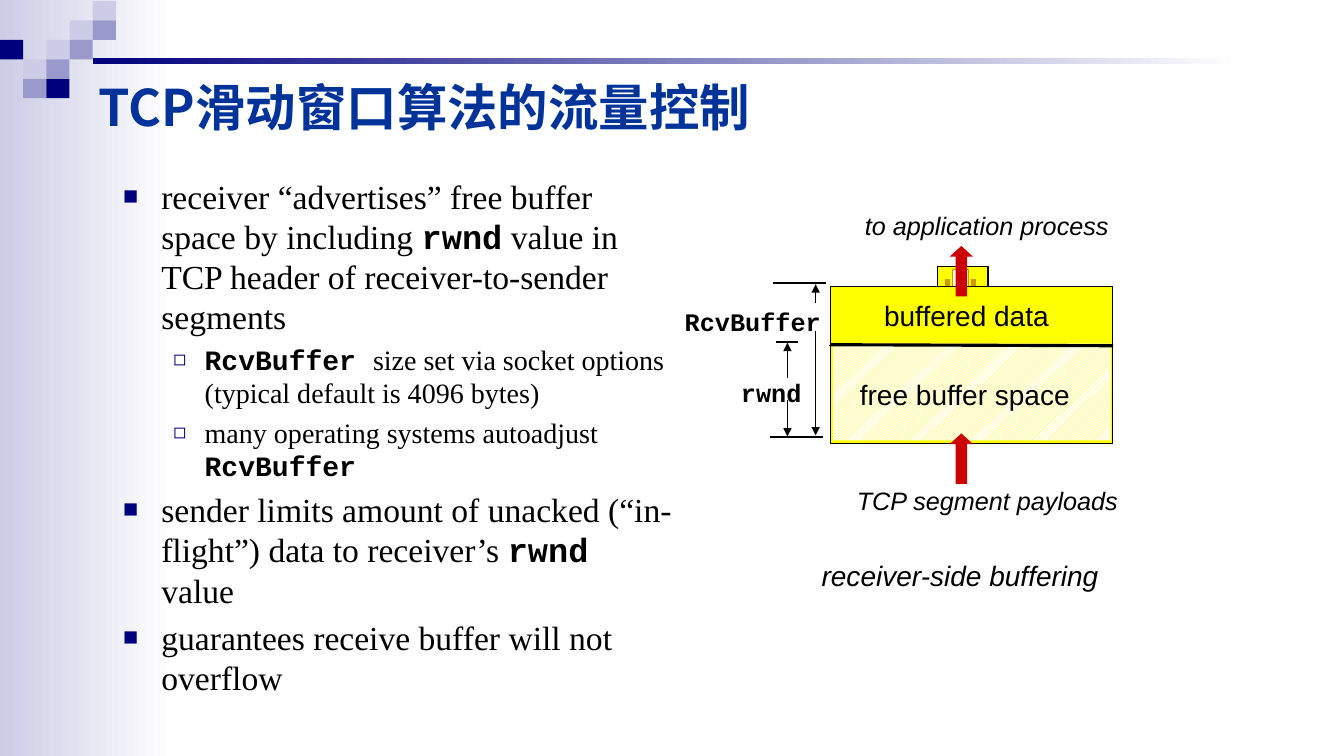
from lxml.etree import SubElement
from pptx import Presentation
from pptx.dml.color import RGBColor
from pptx.enum.dml import MSO_PATTERN
from pptx.enum.shapes import MSO_CONNECTOR, MSO_SHAPE
from pptx.enum.text import MSO_ANCHOR, MSO_AUTO_SIZE, PP_ALIGN
from pptx.oxml.ns import qn
from pptx.util import Inches, Pt

THEME = {
    "navy": RGBColor.from_string("00007D"),
    "violet": RGBColor.from_string("9999CC"),
    "lilac": RGBColor.from_string("CCCCE6"),
    "white": RGBColor.from_string("FFFFFF"),
    "black": RGBColor.from_string("000000"),
    "heading": RGBColor.from_string("003399"),
    "yellow": RGBColor.from_string("FFFF00"),
    "ochre": RGBColor.from_string("CC9900"),
    "red": RGBColor.from_string("CC0000"),
    "title size": 36, "point size": 24, "detail size": 20,
    "caption size": 20, "label size": 18,
    "title font": "Noto Sans CJK SC", "body font": "Times New Roman",
    "code font": "Courier New", "label font": "Arial",
}
STEP = Inches(0.1)  # pitch of the layout grid; all positions count in steps

deck = Presentation()
deck.slide_width, deck.slide_height = Inches(13.33), Inches(7.5)
slide = deck.slides.add_slide(deck.slide_layouts[1])


def add_block(left, top, width, height, fill, outline=None, kind=MSO_SHAPE.RECTANGLE):
    """Place a shape in grid steps; a pair of fill colours makes a left-to-right gradient."""
    block = slide.shapes.add_shape(kind, *(round(n * STEP) for n in (left, top, width, height)))
    block.shadow.inherit = False
    if isinstance(fill, tuple):
        block.fill.gradient()
        block.fill.gradient_angle = 0
        for stop, position, colour in zip(block.fill.gradient_stops, (0, 1), fill):
            stop.position = position
            stop.color.rgb = THEME[colour]
    else:
        block.fill.solid()
        block.fill.fore_color.rgb = THEME[fill]
    if outline:
        block.line.color.rgb = THEME[outline]
        block.line.width = Pt(0.75)
    else:
        block.line.fill.background()
    return block


def add_run(paragraph, text, role, font, colour="black", bold=False, italic=False):
    run = paragraph.add_run()
    run.text = text
    run.font.size = Pt(THEME[role + " size"])
    run.font.name = THEME[font + " font"]
    run.font.color.rgb = THEME[colour]
    run.font.bold, run.font.italic = bold, italic
    return run


# Background band, mosaic and rule
add_block(0, 0, 17.3, 75, ("lilac", "white"))
TILE_W, TILE_H = 2.3, 1.93
mosaic = [
    (4, 0, "lilac"), (3, 1, "lilac"), (4, 1, "violet"),
    (0, 2, "navy"), (2, 2, "lilac"), (3, 2, "violet"),
    (1, 3, "lilac"), (2, 3, "violet"), (1, 4, "violet"), (2, 4, "navy"),
]
for column, row, colour in mosaic:
    add_block(column * TILE_W, row * TILE_H + 0.1, TILE_W, TILE_H, colour)
add_block(4 * TILE_W, 5.8, 113.7, 0.6, ("navy", "white"))

# Title and bullet list, brought in front of the background
title, body = slide.shapes.title, slide.placeholders[1]
for holder, place, anchor in [
    (title, (8.8, 6.5, 85, 8.1), MSO_ANCHOR.MIDDLE),
    (body, (11.2, 16.9, 56.5, 53.7), MSO_ANCHOR.TOP),
]:
    slide.shapes.element.append(holder.element)
    holder.left, holder.top, holder.width, holder.height = (round(n * STEP) for n in place)
    holder.text_frame.vertical_anchor = anchor
    holder.text_frame.auto_size = MSO_AUTO_SIZE.NONE
    holder.text_frame.word_wrap = True

heading = title.text_frame.paragraphs[0]
heading.alignment = PP_ALIGN.LEFT
heading_run = add_run(heading, "TCP滑动窗口算法的流量控制", "title", "title", "heading", bold=True)
SubElement(heading_run.font._element, qn("a:ea"), typeface=THEME["title font"])

# Each point: level, then its runs in turn as (text, font)
points = [
    (0, [("receiver “advertises” free buffer space by including ", "body"), ("rwnd", "code"),
         (" value in TCP header of receiver-to-sender segments", "body")]),
    (1, [("RcvBuffer ", "code"),
         ("size set via socket options (typical default is 4096 bytes)", "body")]),
    (1, [("many operating systems autoadjust ", "body"), ("RcvBuffer", "code")]),
    (0, [("sender limits amount of unacked (“in-flight”) data to receiver’s ", "body"),
         ("rwnd ", "code"), ("value", "body")]),
    (0, [("guarantees receive buffer will not overflow", "body")]),
]
levels = [("point", "■", 3.8, 3.8), ("detail", "◻", 8.1, 3.1)]
for index, (level, pieces) in enumerate(points):
    role, bullet, margin, hanging = levels[level]
    point = body.text_frame.add_paragraph() if index else body.text_frame.paragraphs[0]
    point.level = level
    properties = point._p.get_or_add_pPr()
    properties.set("marL", str(round(margin * STEP)))
    properties.set("indent", str(round(-hanging * STEP)))
    bullet_colour = SubElement(properties, qn("a:buClr"))
    SubElement(bullet_colour, qn("a:srgbClr"), val=str(THEME["navy"]))
    SubElement(properties, qn("a:buSzPct"), val="75000")
    SubElement(properties, qn("a:buChar"), char=bullet)
    for text, font in pieces:
        add_run(point, text, role, font, bold=font == "code")

# Receive buffer with its socket on top
add_block(93, 26.4, 5, 2.3, "yellow", "black")
add_block(94.5, 26.7, 1.6, 1.7, "white", "ochre")
for pin in (93.8, 96.4):
    add_block(pin, 27.7, 0.4, 0.6, "ochre", "ochre")
add_block(82.4, 28.4, 27.9, 15.6, "yellow", "black")
free_space = add_block(82.6, 34.1, 27.6, 9.6, "yellow")
free_space.fill.patterned()
free_space.fill.pattern = MSO_PATTERN.DARK_UPWARD_DIAGONAL
free_space.fill.fore_color.rgb = THEME["yellow"]
free_space.fill.back_color.rgb = THEME["white"]
for flow_top in (24.4, 43):
    flow = add_block(94.2, flow_top, 2.3, 5, "red", kind=MSO_SHAPE.UP_ARROW)
    flow.adjustments[0], flow.adjustments[1] = 0.5, 0.46

# Divider and dimension lines: start, end, weight, arrowhead at the start
strokes = [
    (82.2, 34.3, 110.4, 34.3, 0.75, False),
    (82.4, 34.2, 110.4, 34.3, 2.25, False),
    (76.4, 43.4, 81.6, 43.4, 1.5, False),
    (77, 33.9, 79.1, 33.9, 1.5, False),
    (76.7, 28.1, 81.9, 28.1, 1.5, False),
    (78.1, 34, 78.1, 37.5, 0.75, True),
    (78.1, 43.3, 78.1, 39.7, 0.75, True),
    (80.9, 28.2, 80.9, 30.1, 0.75, True),
    (80.9, 43.2, 80.9, 32.8, 0.75, True),
]
for *ends, weight, arrowhead in strokes:
    stroke = slide.shapes.add_connector(MSO_CONNECTOR.STRAIGHT, *(round(n * STEP) for n in ends))
    stroke.line.color.rgb = THEME["black"]
    stroke.line.width = Pt(weight)
    outline = stroke.element.spPr
    if arrowhead:
        SubElement(outline.get_or_add_ln(), qn("a:headEnd"), type="triangle")
    SubElement(outline, qn("a:effectLst"))

# Labels: text, place, size role, font, italic
labels = [
    ("buffered data", (86.7, 29.1, 18.6, 4.3), "caption", "label", False),
    ("free buffer space", (84.3, 37, 23.2, 4.3), "caption", "label", False),
    ("rwnd", (72.5, 36.9, 8.1, 4), "label", "code", False),
    ("RcvBuffer", (66.8, 29.9, 15.6, 4), "label", "code", False),
    ("TCP segment payloads", (84, 47.7, 28.2, 4), "label", "label", True),
    ("to application process", (84.8, 20.4, 26.4, 4), "label", "label", True),
    ("receiver-side buffering", (80.5, 54.9, 29.5, 4.3), "caption", "label", True),
]
for text, place, role, font, italic in labels:
    label = slide.shapes.add_textbox(*(round(n * STEP) for n in place)).text_frame
    label.word_wrap = False
    label.auto_size = MSO_AUTO_SIZE.SHAPE_TO_FIT_TEXT
    line = label.paragraphs[0]
    line.alignment = PP_ALIGN.RIGHT if text == "RcvBuffer" else PP_ALIGN.LEFT
    add_run(line, text, role, font, bold=font == "code", italic=italic)

deck.save("out.pptx")
